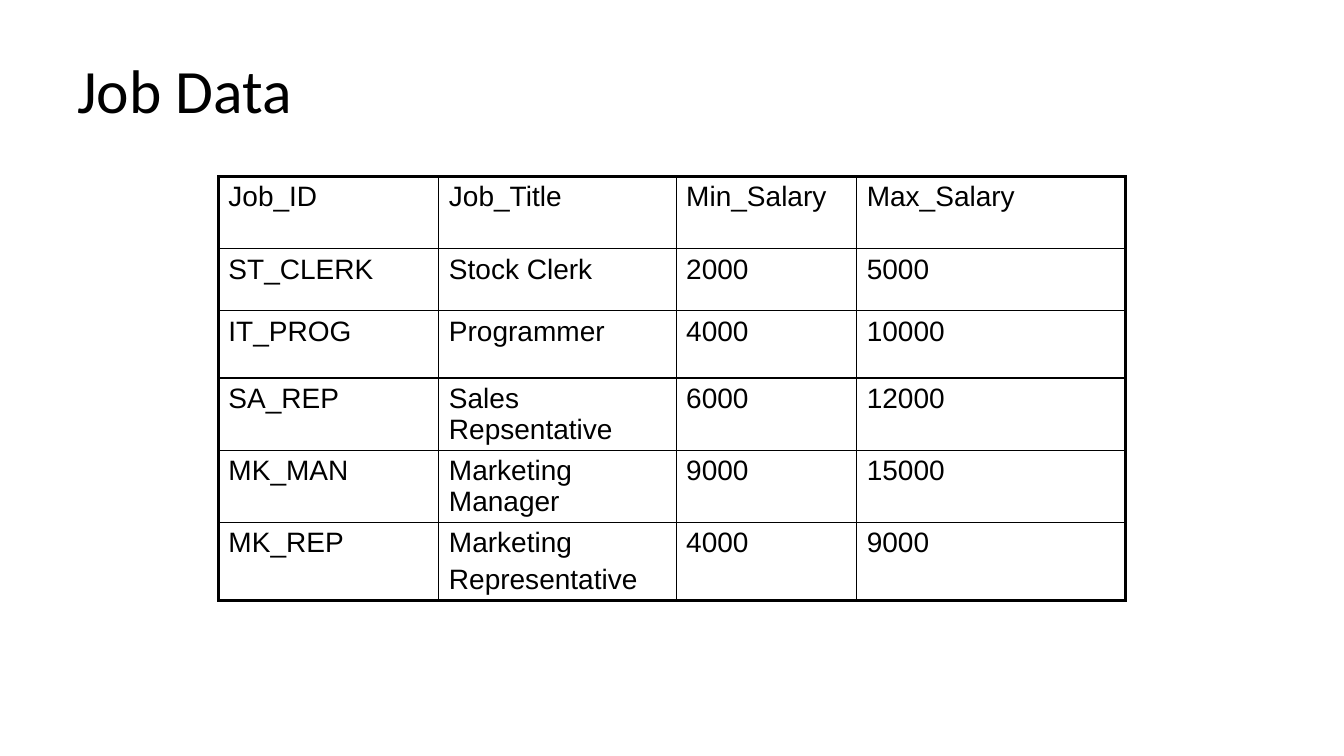
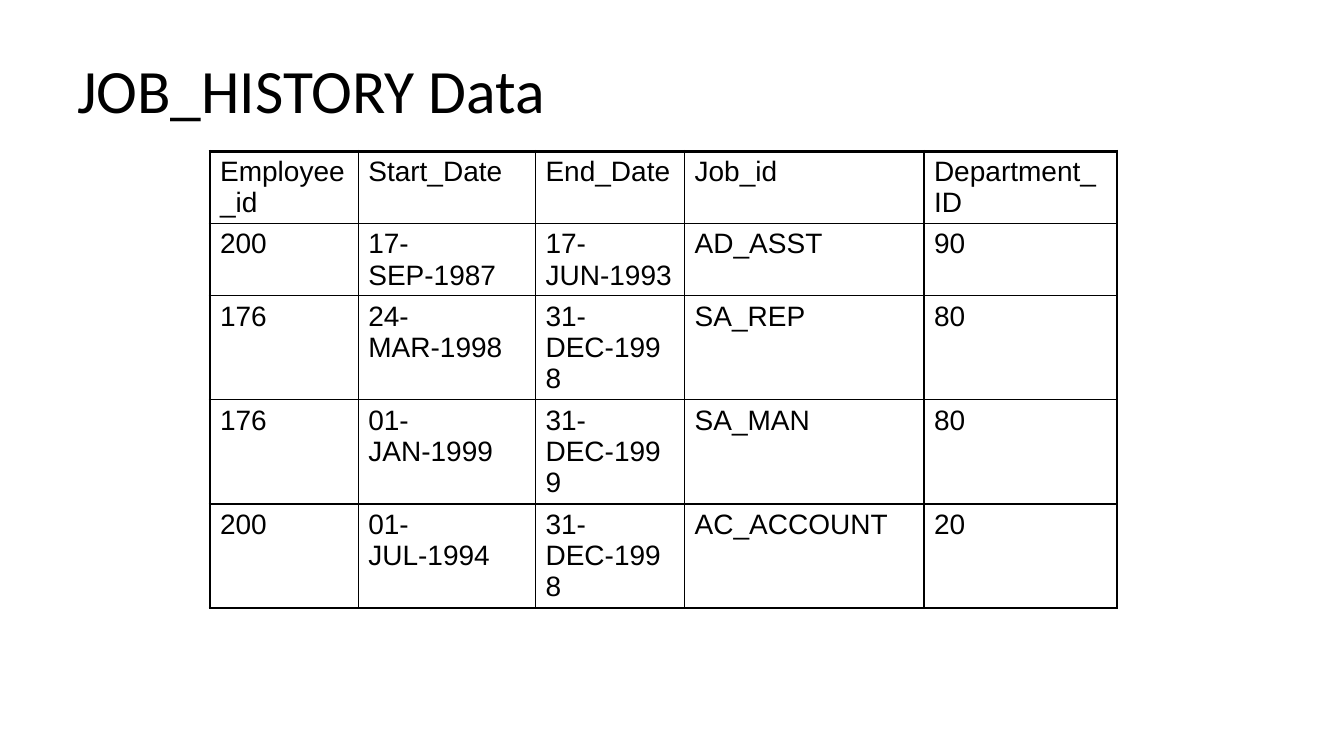
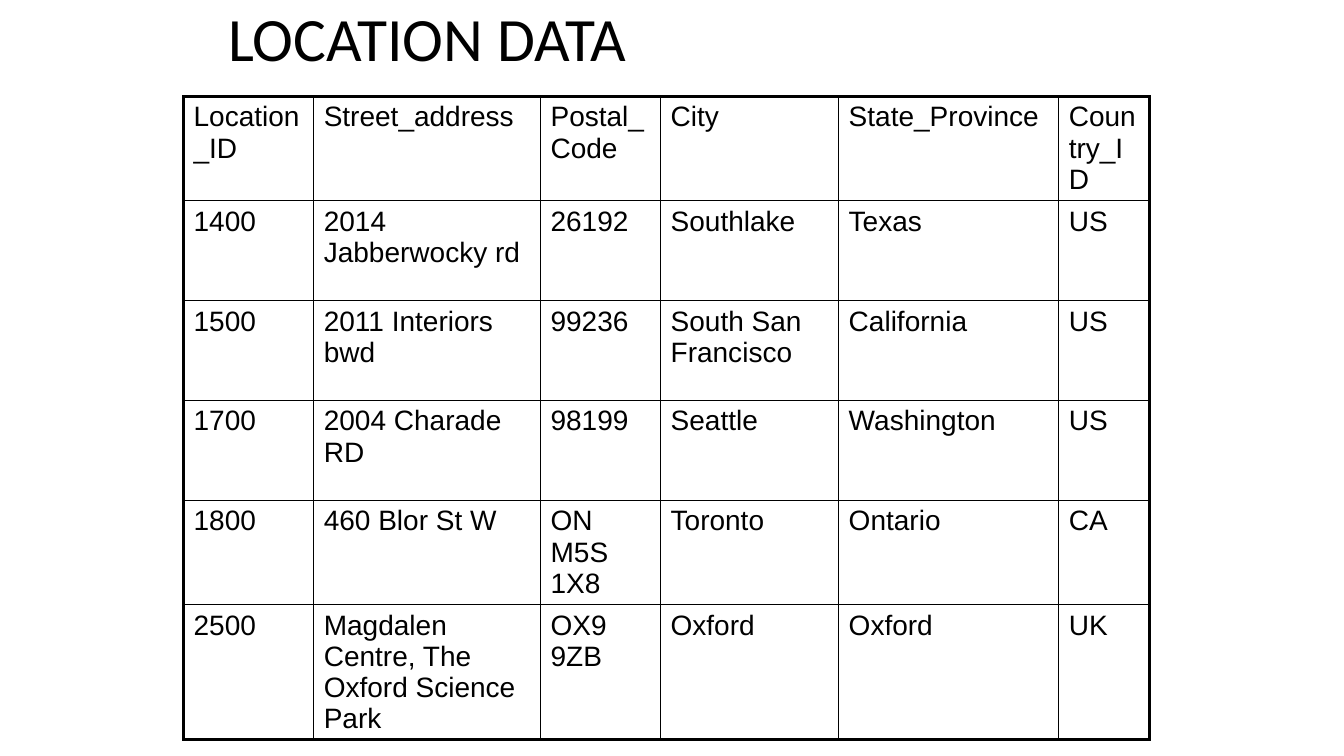
"""Build three slides of human-resources sample data, each a title above a ruled table."""
import pptx
import pptx.dml.color
import pptx.enum.text
import pptx.oxml
import pptx.oxml.ns
import pptx.util

GRID_COLUMNS = 160
GRID_ROWS = 90
INK = "000000"
PAPER = "FFFFFF"
TITLE_FONT, TITLE_SIZE = "Calibri", 44
CELL_FONT, CELL_SIZE = "Arial", 20
CELL_LEADING, CELL_PARA_GAP = 22.3, 4
OUTER_RULE, INNER_RULE = 2.25, 1
TOP_TITLE = (8, 3.6, 144, 15)

pages = [
    {
        "title": "Job Data",
        "title_area": TOP_TITLE,
        "corner": (26, 21),
        "columns": [26.25, 28.25, 21.5, 32],
        "rows": [8.6, 7.4, 8.0, 8.6, 8.6, 9.3],
        "cells": [
            ["Job_ID", "Job_Title", "Min_Salary", "Max_Salary"],
            ["ST_CLERK", "Stock Clerk", "2000", "5000"],
            ["IT_PROG", "Programmer", "4000", "10000"],
            ["SA_REP", "Sales Repsentative", "6000", "12000"],
            ["MK_MAN", "Marketing Manager", "9000", "15000"],
            ["MK_REP", "Marketing\nRepresentative", "4000", "9000"],
        ],
    },
    {
        "title": "JOB_HISTORY Data",
        "title_area": TOP_TITLE,
        "corner": (25, 18),
        "columns": [17.65, 21.1, 17.75, 28.5, 23],
        "rows": [8.6, 8.6, 12.4, 12.4, 12.4],
        "cells": [
            ["Employee_id", "Start_Date", "End_Date", "Job_id", "Department_ ID"],
            ["200", "17-SEP-1987", "17-JUN-1993", "AD_ASST", "90"],
            ["176", "24-MAR-1998", "31-DEC-1998", "SA_REP", "80"],
            ["176", "01-JAN-1999", "31-DEC-1999", "SA_MAN", "80"],
            ["200", "01-JUL-1994", "31-DEC-1998", "AC_ACCOUNT", "20"],
        ],
    },
    {
        "title": "LOCATION DATA",
        "title_area": (26, 0, 108, 10),
        "corner": (21.85, 11.5),
        "columns": [15.5, 27, 14.3, 21.2, 26.2, 10.8],
        "rows": [12.4, 11.9, 11.9, 11.9, 12.4, 16.1],
        "cells": [
            ["Location_ID", "Street_address", "Postal_Code", "City", "State_Province", "Country_ID"],
            ["1400", "2014 Jabberwocky rd", "26192", "Southlake", "Texas", "US"],
            ["1500", "2011 Interiors bwd", "99236", "South San Francisco", "California", "US"],
            ["1700", "2004 Charade RD", "98199", "Seattle", "Washington", "US"],
            ["1800", "460 Blor St W", "ON M5S 1X8", "Toronto", "Ontario", "CA"],
            ["2500", "Magdalen Centre, The Oxford Science Park", "OX9 9ZB", "Oxford", "Oxford", "UK"],
        ],
    },
]


def add_span(para, text, font, size, color):
    span = para.add_run()
    span.text = text
    span.font.name = font
    span.font.size = pptx.util.Pt(size)
    span.font.bold = False
    span.font.color.rgb = pptx.dml.color.RGBColor.from_string(color)


def add_rule(cell, side, points, color):
    namespace = pptx.oxml.ns.nsdecls("a")
    cell._tc.get_or_add_tcPr().append(pptx.oxml.parse_xml(
        f'<a:ln{side} {namespace} w="{pptx.util.Pt(points)}">'
        f'<a:solidFill><a:srgbClr val="{color}"/></a:solidFill></a:ln{side}>'))


deck = pptx.Presentation()
deck.slide_width = pptx.util.Inches(40 / 3)
deck.slide_height = pptx.util.Inches(7.5)
unit_x = deck.slide_width / GRID_COLUMNS
unit_y = deck.slide_height / GRID_ROWS

background = deck.slide_master.background.fill
background.solid()
background.fore_color.rgb = pptx.dml.color.RGBColor.from_string(PAPER)

for content in pages:
    page = deck.slides.add_slide(deck.slide_layouts[6])

    left, top, width, height = content["title_area"]
    box = page.shapes.add_textbox(
        int(left * unit_x), int(top * unit_y), int(width * unit_x), int(height * unit_y))
    box.text_frame.word_wrap = True
    box.text_frame.vertical_anchor = pptx.enum.text.MSO_ANCHOR.MIDDLE
    title = box.text_frame.paragraphs[0]
    title.line_spacing = 0.9
    add_span(title, content["title"], TITLE_FONT, TITLE_SIZE, INK)

    columns, rows = content["columns"], content["rows"]
    left, top = content["corner"]
    table = page.shapes.add_table(
        len(rows), len(columns), int(left * unit_x), int(top * unit_y),
        int(sum(columns) * unit_x), int(sum(rows) * unit_y)).table
    table.first_row = False
    table.horz_banding = False
    for column, width in zip(table.columns, columns):
        column.width = int(width * unit_x)
    for row, height in zip(table.rows, rows):
        row.height = int(height * unit_y)

    for row_index, texts in enumerate(content["cells"]):
        for column_index, text in enumerate(texts):
            cell = table.cell(row_index, column_index)
            cell.margin_bottom = 0
            edges = {
                "L": column_index == 0,
                "R": column_index == len(columns) - 1,
                "T": row_index == 0,
                "B": row_index == len(rows) - 1,
            }
            for side, is_outer in edges.items():
                add_rule(cell, side, OUTER_RULE if is_outer else INNER_RULE, INK)
            cell.fill.background()
            frame = cell.text_frame
            for line_index, line in enumerate(text.split("\n")):
                para = frame.add_paragraph() if line_index else frame.paragraphs[0]
                para.line_spacing = pptx.util.Pt(CELL_LEADING)
                para.space_before = pptx.util.Pt(CELL_PARA_GAP if line_index else 0)
                add_span(para, line, CELL_FONT, CELL_SIZE, INK)

deck.save("out.pptx")
